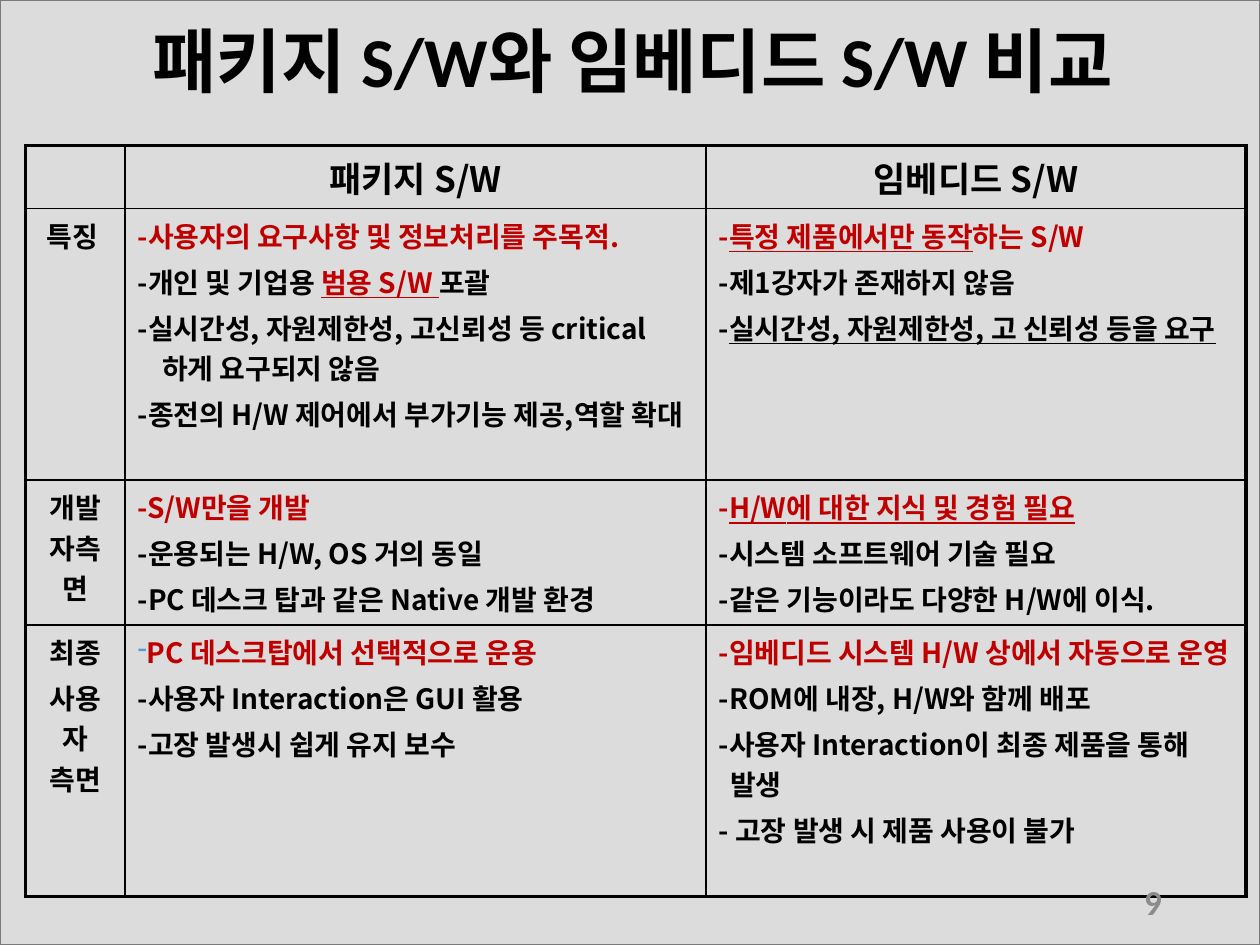
"""Build a slide with a table comparing packaged and embedded software."""
from lxml import etree
from pptx import Presentation
from pptx.dml.color import RGBColor
from pptx.enum.shapes import MSO_SHAPE
from pptx.enum.text import MSO_ANCHOR, PP_ALIGN
from pptx.oxml.ns import qn
from pptx.util import Pt

RECT = MSO_SHAPE.RECTANGLE
MIDDLE = MSO_ANCHOR.MIDDLE
CENTER, LEFT, RIGHT = PP_ALIGN.CENTER, PP_ALIGN.LEFT, PP_ALIGN.RIGHT
COLORS = {"black": "000000", "red": "C00000", "back": "DCDCDC",
          "frame": "7A7A7A", "number": "8C8C8C", "bullet": "5B9BD5"}
KOREAN, LATIN = "Noto Sans CJK KR", "Calibri"
WIDTH, HEIGHT = 720, 540
COLS = [57, 332, 308.5]
ROWS = [34.5, 147, 80, 147]
THICK, THIN = 2.25, 1
WIDE, NARROW = 14, 6.5
STYLES = {"k": {}, "r": {"color": "red"}, "ku": {"underline": True},
          "ru": {"color": "red", "underline": True}}

# Each paragraph is (hanging indent, (text, style), ...).
HEADS = ["", "패키지 S/W", "임베디드 S/W"]
LABELS = [["특징 "], ["개발자측면"], ["최종", "사용자 측면"]]
PACKAGED = [
    [(0, ("-사용자의 요구사항 및 정보처리를 주목적.", "r")),
     (0, ("-개인 및 기업용 ", "k"), ("범용 S/W ", "ru"), ("포괄", "k")),
     (WIDE, ("-실시간성, 자원제한성, 고신뢰성 등 critical하게 요구되지 않음", "k")),
     (WIDE, ("-종전의 H/W 제어에서 부가기능 제공,역할 확대", "k"))],
    [(0, ("-S/W만을 개발", "r")),
     (NARROW, ("-운용되는 H/W, OS 거의 동일", "k")),
     (0, ("-PC 데스크 탑과 같은 Native 개발 환경", "k"))],
    [(None, ("PC 데스크탑에서 선택적으로 운용", "r")),
     (0, ("-사용자 Interaction은 GUI 활용", "k")),
     (0, ("-고장 발생시 쉽게 유지 보수", "k"))],
]
EMBEDDED = [
    [(0, ("-", "r"), ("특정 제품에서만 동작", "ru"), ("하는 S/W", "r")),
     (0, ("-제1강자가 존재하지 않음", "k")),
     (NARROW, ("-", "k"), ("실시간성, 자원제한성, 고 신뢰성 등을 요구", "ku"))],
    [(WIDE, ("-", "r"), ("H/W에 대한 지식 및 경험 필요", "ru")),
     (0, ("-시스템 소프트웨어 기술 필요", "k")),
     (0, ("-같은 기능이라도 다양한 H/W에 이식.", "k"))],
    [(NARROW, ("-임베디드 시스템 H/W 상에서 자동으로 운영", "r")),
     (0, ("-ROM에 내장, H/W와 함께 배포", "k")),
     (NARROW, ("-사용자 Interaction이 최종 제품을 통해 발생", "k")),
     (0, ("- 고장 발생 시 제품 사용이 불가", "k"))],
]


def rgb(name):
    """Return the named colour."""
    return RGBColor.from_string(COLORS[name])


def add_text(p, text, size=16, font=KOREAN, color="black", underline=False):
    """Add one bold run to a paragraph."""
    r = p.add_run()
    r.text = text
    r.font.size, r.font.bold, r.font.name = Pt(size), True, font
    r.font.underline = underline
    r.font.color.rgb = rgb(color)
    etree.SubElement(r.font._element, qn("a:ea"), typeface=KOREAN)


def add_background(s):
    """Add the framed backdrop behind everything else."""
    sp = s.shapes.add_shape(RECT, 0, 0, Pt(WIDTH), Pt(HEIGHT))
    sp.shadow.inherit = False
    sp.fill.solid()
    sp.fill.fore_color.rgb = rgb("back")
    sp.line.color.rgb = rgb("frame")
    sp.line.width = Pt(1)
    s.shapes._spTree.insert(2, sp._element)


def add_title(s, text):
    """Fill and place the title placeholder."""
    sp = s.shapes.title
    sp.left, sp.top, sp.width, sp.height = Pt(3), Pt(3.5), Pt(717), Pt(67)
    sp.text_frame.vertical_anchor = MIDDLE
    p = sp.text_frame.paragraphs[0]
    p.alignment, p.line_spacing = CENTER, 0.9
    add_text(p, text, size=40, font=LATIN)


def add_number(s, text):
    """Add the slide number at the lower right."""
    sp = s.shapes.add_textbox(Pt(509), Pt(500.5), Pt(162), Pt(29))
    tf = sp.text_frame
    tf.word_wrap, tf.vertical_anchor = True, MIDDLE
    p = tf.paragraphs[0]
    p.alignment = RIGHT
    add_text(p, text, size=20, font=LATIN, color="number")


def set_borders(cell, row, col):
    """Draw thick lines on the table's outside and thin ones inside."""
    outer = {"L": col == 0, "R": col == len(COLS) - 1,
             "T": row == 0, "B": row == len(ROWS) - 1}
    tc_pr = cell._tc.get_or_add_tcPr()
    for side, is_outer in outer.items():
        ln = etree.SubElement(tc_pr, qn("a:ln" + side),
                              w=str(Pt(THICK if is_outer else THIN)))
        fill = etree.SubElement(ln, qn("a:solidFill"))
        etree.SubElement(fill, qn("a:srgbClr"), val=COLORS["black"])


def set_indent(p, indent):
    """Give a paragraph a hanging indent, or a dash bullet if it is None."""
    pPr = p._p.get_or_add_pPr()
    if indent is None:
        clr = etree.SubElement(pPr, qn("a:buClr"))
        etree.SubElement(clr, qn("a:srgbClr"), val=COLORS["bullet"])
        etree.SubElement(pPr, qn("a:buChar"), char="-")
    elif indent:
        pPr.set("marL", str(Pt(indent)))
        pPr.set("indent", str(-Pt(indent)))


def fill_cell(cell, paragraphs, align, size=16):
    """Write the paragraphs of one cell."""
    tf = cell.text_frame
    for i, (indent, *runs) in enumerate(paragraphs):
        p = tf.add_paragraph() if i else tf.paragraphs[0]
        set_indent(p, indent)
        p.alignment = align
        if i:
            p.space_before = Pt(0.2 * size)
        for text, style in runs:
            add_text(p, text, size=size, **STYLES[style])


def add_comparison(s):
    """Add the comparison table."""
    table = s.shapes.add_table(len(ROWS), len(COLS), Pt(14.5), Pt(83),
                               Pt(sum(COLS)), Pt(sum(ROWS))).table
    table.first_row = table.horz_banding = False
    for column, width in zip(table.columns, COLS):
        column.width = Pt(width)
    for row, height in zip(table.rows, ROWS):
        row.height = Pt(height)
    for r in range(len(ROWS)):
        for c in range(len(COLS)):
            set_borders(table.cell(r, c), r, c)
            table.cell(r, c).fill.background()
    for c, head in enumerate(HEADS):
        if head:
            fill_cell(table.cell(0, c), [(0, (head, "k"))], CENTER, size=20)
    for r, (label, packaged, embedded) in enumerate(
            zip(LABELS, PACKAGED, EMBEDDED), start=1):
        fill_cell(table.cell(r, 0), [(0, (t, "k")) for t in label], CENTER)
        fill_cell(table.cell(r, 1), packaged, LEFT)
        fill_cell(table.cell(r, 2), embedded, LEFT)


def main():
    """Build and save the slide."""
    prs = Presentation()
    prs.slide_width, prs.slide_height = Pt(WIDTH), Pt(HEIGHT)
    s = prs.slides.add_slide(prs.slide_layouts[5])
    add_background(s)
    add_title(s, "패키지 S/W와 임베디드 S/W 비교")
    add_comparison(s)
    add_number(s, "9")
    prs.save("out.pptx")


if __name__ == "__main__":
    main()
